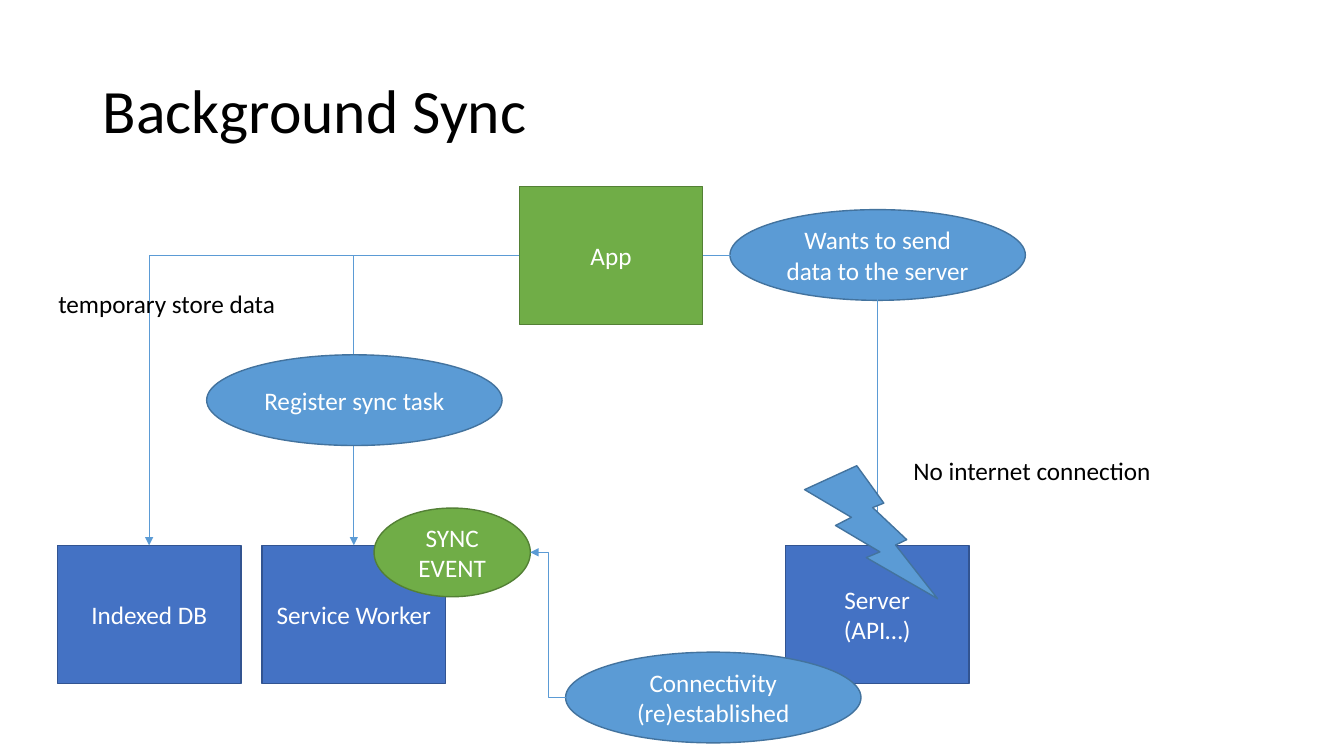
from dataclasses import dataclass

from lxml.etree import SubElement
from pptx import Presentation
from pptx.dml.color import RGBColor
from pptx.enum.shapes import MSO_CONNECTOR as Connector, MSO_SHAPE as Shape
from pptx.enum.text import MSO_ANCHOR as Anchor, PP_ALIGN as Align
from pptx.oxml.ns import qn
from pptx.util import Inches, Pt


@dataclass(frozen=True)
class Theme:
    font: str = "Calibri"
    title_size: int = 44
    body_size: int = 18
    outline: float = 1
    arrow: float = 0.5
    black: str = "000000"
    white: str = "FFFFFF"
    # Each pair is a fill and its outline
    green: tuple = ("70AD47", "538035")
    navy: tuple = ("4472C4", "325491")
    blue: tuple = ("5B9BD5", "43739E")


THEME = Theme()
BLOCK = (1.82, 1.37)
ACTION = (2.93, 0.9)
TOP, LEFT, RIGHT = 0, 1, 3


def color(code):
    return RGBColor.from_string(code)


def write(shape, text, size=THEME.body_size, ink=THEME.black, align=Align.LEFT,
          anchor=Anchor.TOP, wrap=True, spacing=None):
    frame = shape.text_frame
    frame.word_wrap = wrap
    frame.vertical_anchor = anchor
    for index, line in enumerate(text.split("\n")):
        para = frame.add_paragraph() if index else frame.paragraphs[0]
        para.alignment = align
        para.line_spacing = spacing
        span = para.add_run()
        span.text = line
        span.font.name = THEME.font
        span.font.size = Pt(size)
        span.font.color.rgb = color(ink)


def add_text(page, box, text, **style):
    write(page.shapes.add_textbox(*map(Inches, box)), text, **style)


def add_node(page, kind, corner, size, colors, text=""):
    node = page.shapes.add_shape(kind, *map(Inches, corner + size))
    fill, line = colors
    node.shadow.inherit = False
    node.fill.solid()
    node.fill.fore_color.rgb = color(fill)
    node.line.color.rgb = color(line)
    node.line.width = Pt(THEME.outline)
    if text:
        write(node, text, ink=THEME.white, align=Align.CENTER, anchor=Anchor.MIDDLE)
    return node


def add_elbow(page, start, end, preset="bentConnector3"):
    """Draw an elbow arrow that leaves its start point horizontally."""
    elbow = page.shapes.add_connector(Connector.ELBOW, *start, *end)
    elbow.line.color.rgb = color(THEME.blue[0])
    elbow.line.width = Pt(THEME.arrow)
    properties = elbow._element.spPr
    properties.find(qn("a:prstGeom")).set("prst", preset)
    SubElement(properties.find(qn("a:ln")), qn("a:tailEnd"), type="triangle")
    SubElement(properties, qn("a:effectLst"))
    return elbow


def middle(node):
    return node.top + node.height // 2


def drop_arrow(page, source, side, target):
    """Join the side of one block to the top of a lower one with a single bend."""
    start_x = source.left + (source.width if side == RIGHT else 0)
    end = (target.left + target.width // 2, target.top)
    elbow = add_elbow(page, (start_x, middle(source)), end, "bentConnector2")
    elbow.begin_connect(source, side)
    elbow.end_connect(target, TOP)


def add_server_side(page, app, box):
    left, top = box
    server = add_node(page, Shape.RECTANGLE, (left + 0.55, top + 3.33), BLOCK,
                      THEME.navy, "Server\n(API…)")
    add_node(page, Shape.OVAL, (left, top), ACTION, THEME.blue,
             "Wants to send data to the server")
    drop_arrow(page, app, RIGHT, server)
    add_node(page, Shape.LIGHTNING_BOLT, (left + 0.74, top + 2.54), (1.32, 1.32),
             THEME.blue)
    add_text(page, (left + 1.72, top + 2.39, 2.59, 0.4), "No internet connection",
             wrap=False)


def add_client_side(page, app, box):
    left, top = box
    database, worker = (
        add_node(page, Shape.RECTANGLE, (left + column * 2.03, top), BLOCK,
                 THEME.navy, name)
        for column, name in enumerate(("Indexed DB", "Service Worker")))
    drop_arrow(page, app, LEFT, worker)
    add_node(page, Shape.OVAL, (left + 1.48, top - 1.89), ACTION, THEME.blue,
             "Register sync task")
    drop_arrow(page, app, LEFT, database)
    add_text(page, (left - 0.09, top - 2.6, 2.37, 0.4), "temporary store data",
             wrap=False)


def add_sync_event(page, box):
    left, top = box
    restored = add_node(page, Shape.OVAL, (left + 1.9, top + 1.43), ACTION,
                        THEME.blue, "Connectivity (re)established")
    event = add_node(page, Shape.OVAL, (left, top), (1.55, 0.88), THEME.green,
                     "SYNC EVENT")
    add_elbow(page, (restored.left, middle(restored)),
              (event.left + event.width, middle(event)))


def build_sync_slide(deck):
    page = deck.slides.add_slide(deck.slide_layouts[6])
    add_text(page, (0.92, 0.4, 11.5, 1.45), "Background Sync",
             size=THEME.title_size, anchor=Anchor.MIDDLE, spacing=0.9)
    app = add_node(page, Shape.RECTANGLE, (5.15, 1.85), BLOCK, THEME.green, "App")
    add_server_side(page, app, (7.24, 2.08))
    add_client_side(page, app, (0.57, 5.41))
    add_sync_event(page, (3.71, 5.04))


def main():
    deck = Presentation()
    deck.slide_width = Inches(13.33)
    deck.slide_height = Inches(7.5)
    build_sync_slide(deck)
    deck.save("out.pptx")


if __name__ == "__main__":
    main()
